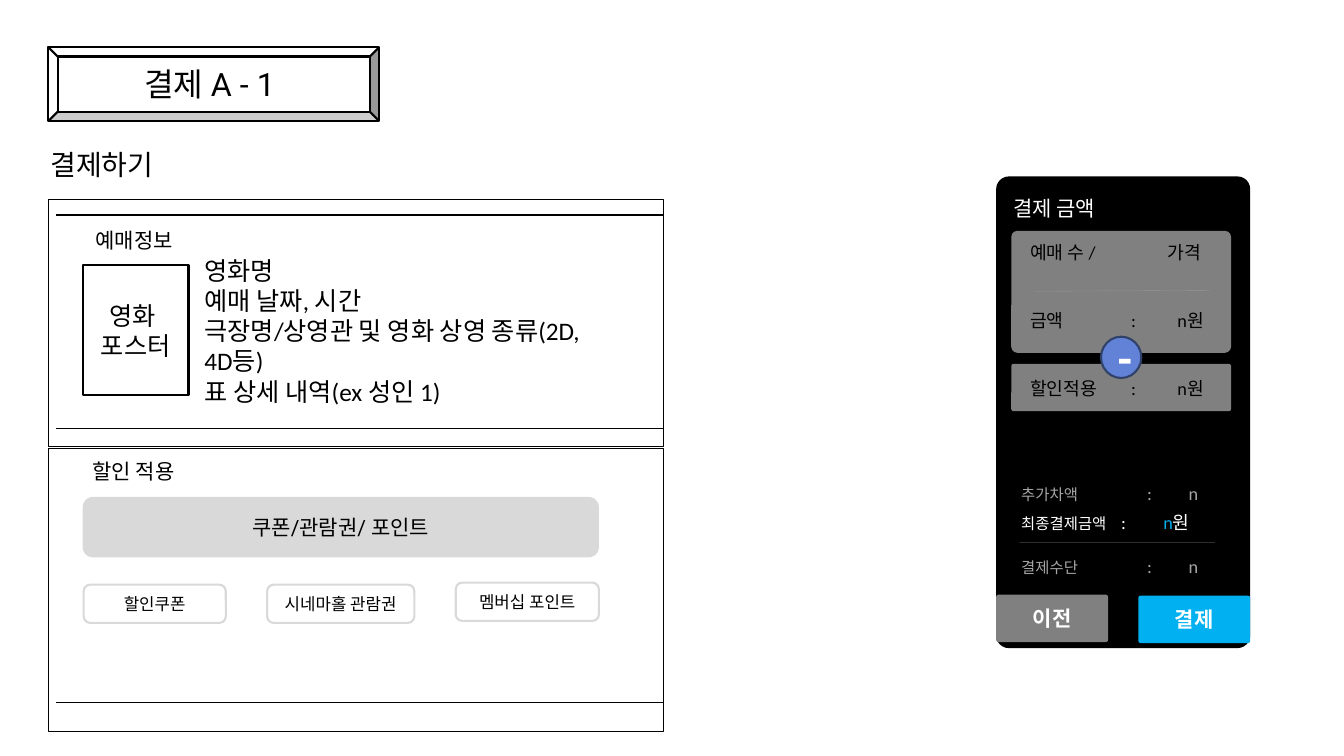
import pptx
import pptx.util
import pptx.dml.color
import pptx.enum.shapes
import pptx.enum.text
import pptx.oxml
import pptx.oxml.ns
from lxml import etree

Inches = pptx.util.Inches
Pt = pptx.util.Pt
SHAPE = pptx.enum.shapes.MSO_SHAPE
BLACK, WHITE, GRAY, SILVER, MUTED, BLUE = (
    "000000", "FFFFFF", "808080", "D9D9D9", "A6A6A6", "00B0F0")


def paint(target, color):
    target.rgb = pptx.dml.color.RGBColor.from_string(color)


def style_run(run, size, color, font, bold=False):
    run.font.size = Pt(size)
    run.font.name = font
    run.font.bold = bold
    paint(run.font.color, color)


def add_box(slide, kind, place, fill, line=None, width=1, corner=None):
    box = slide.shapes.add_shape(kind, *map(Inches, place))
    box.shadow.inherit = False
    box.fill.solid()
    paint(box.fill.fore_color, fill)
    if line:
        paint(box.line.color, line)
        box.line.width = Pt(width)
    else:
        box.line.fill.background()
    if corner is not None:
        box.adjustments[0] = corner
    return box


def add_caption(box, text, size, color=BLACK, bold=False):
    frame = box.text_frame
    frame.word_wrap = True
    frame.vertical_anchor = pptx.enum.text.MSO_ANCHOR.MIDDLE
    frame.text = text
    for paragraph in frame.paragraphs:
        paragraph.alignment = pptx.enum.text.PP_ALIGN.CENTER
        for run in paragraph.runs:
            style_run(run, size, color, "Roboto", bold)


def add_frame(slide, place):
    frame = slide.shapes.add_textbox(*map(Inches, place)).text_frame
    frame.word_wrap = True
    frame.auto_size = pptx.enum.text.MSO_AUTO_SIZE.SHAPE_TO_FIT_TEXT
    return frame


def add_label(slide, place, text, size, color=BLACK):
    frame = add_frame(slide, place)
    frame.text = text
    for paragraph in frame.paragraphs:
        for run in paragraph.runs:
            style_run(run, size, color, "Calibri")


def add_price_row(slide, place, parts, stops):
    paragraph = add_frame(slide, place).paragraphs[0]
    for text, size, color in parts:
        run = paragraph.add_run()
        run.text = text
        style_run(run, size, color, "Calibri")
    qn = pptx.oxml.ns.qn
    tabs = etree.SubElement(paragraph._p.get_or_add_pPr(), qn("a:tabLst"))
    for stop in stops:
        etree.SubElement(tabs, qn("a:tab"), pos=str(Inches(stop)), algn="l")


def add_rule(slide, start, end, color=BLACK, width=1.25, opacity=None):
    rule = slide.shapes.add_connector(
        pptx.enum.shapes.MSO_CONNECTOR.STRAIGHT, *map(Inches, start + end))
    paint(rule.line.color, color)
    rule.line.width = Pt(width)
    qn = pptx.oxml.ns.qn
    properties = rule._element.spPr
    if opacity is not None:
        shade = properties.find(".//" + qn("a:srgbClr"))
        etree.SubElement(shade, qn("a:alpha"), val=str(opacity * 1000))
    etree.SubElement(properties, qn("a:effectLst"))


def add_booking(slide):
    add_box(slide, SHAPE.RECTANGLE, (0.48, 1.98, 6.1, 2.45), WHITE, BLACK)
    poster = add_box(slide, SHAPE.RECTANGLE, (0.82, 2.63, 1.05, 1.29), WHITE, BLACK, 1.5)
    add_caption(poster, "영화 \n포스터", 18)
    add_label(slide, (0.85, 2.21, 1.05, 0.35), "예매정보", 15)
    for y in (2.13, 4.25):
        add_rule(slide, (0.56, y), (6.58, y))
    add_label(slide, (1.93, 2.48, 3.93, 1.62),
              "영화명\n예매 날짜, 시간\n극장명/상영관 및 영화 상영 종류(2D, 4D등)\n"
              "표 상세 내역(ex 성인 1)", 18)


def add_discounts(slide):
    add_box(slide, SHAPE.RECTANGLE, (0.48, 4.45, 6.1, 2.81), WHITE, BLACK)
    add_rule(slide, (0.56, 6.97), (6.58, 6.97))
    add_label(slide, (0.82, 4.5, 1.11, 0.35), "할인 적용", 15)
    banner = add_box(slide, SHAPE.ROUNDED_RECTANGLE, (0.82, 4.93, 5.12, 0.6),
                     SILVER, corner=0.17)
    add_caption(banner, "쿠폰/관람권/ 포인트", 15)
    for x, y, width, text in ((0.83, 5.8, 1.41, "할인쿠폰"),
                              (2.65, 5.8, 1.46, "시네마홀 관람권"),
                              (4.52, 5.78, 1.42, "멤버십 포인트")):
        option = add_box(slide, SHAPE.ROUNDED_RECTANGLE, (x, y, width, 0.38),
                         WHITE, SILVER, 1.5, 0.17)
        add_caption(option, text, 12)


def add_payment(slide):
    add_box(slide, SHAPE.ROUNDED_RECTANGLE, (9.88, 1.75, 2.52, 4.68), BLACK, corner=0.05)
    add_label(slide, (9.95, 1.89, 1.19, 0.35), "결제 금액", 15, WHITE)
    for y, height in ((2.29, 1.21), (3.61, 0.47)):
        add_box(slide, SHAPE.ROUNDED_RECTANGLE, (10.03, y, 2.18, height), GRAY, corner=0.05)
    for x, y, fill, text in ((9.88, 5.9, GRAY, "이전"), (11.29, 5.91, BLUE, "결제")):
        button = add_box(slide, SHAPE.ROUNDED_RECTANGLE, (x, y, 1.11, 0.47),
                         fill, corner=0.05)
        add_caption(button, text, 15, WHITE, True)
    add_rule(slide, (10.27, 2.89), (12, 2.88), SILVER, 0.25, 26)
    minus = add_box(slide, SHAPE.OVAL, (10.92, 3.34, 0.4, 0.41), "6182D6", "30416A", 1.5)
    add_caption(minus, "-", 30, WHITE, True)
    for y, text, stops in ((2.34, "예매 수 /\t가격", (1.36,)),
                           (3.02, "금액\t:\tn원", (1, 1.46)),
                           (3.69, "할인적용\t:\tn원", (1, 1.46))):
        add_price_row(slide, (10.12, y, 1.99, 0.32), [(text, 13, BLACK)], stops)
    for y, text in ((4.74, "추가차액"), (5.46, "결제수단")):
        add_price_row(slide, (10.03, y, 2.12, 0.32),
                      [(text, 11, MUTED), ("\t:\tn", 13, MUTED)], (1.25, 1.66))
    add_price_row(slide, (10.03, 5.02, 2.08, 0.32),
                  [("최종결제금액", 11, WHITE), ("\t:\t", 13, WHITE),
                   ("n", 13, BLUE), ("원", 13, WHITE)], (0.99, 1.41))
    add_rule(slide, (10.11, 5.38), (12.05, 5.38), SILVER, 0.25, 62)


def main():
    deck = pptx.Presentation()
    deck.slide_width, deck.slide_height = Inches(13.33), Inches(7.5)
    slide = deck.slides.add_slide(deck.slide_layouts[6])
    title = add_box(slide, SHAPE.BEVEL, (0.48, 0.47, 3.28, 0.73), WHITE, BLACK, 1.5, 0.125)
    add_caption(title, "결제 A - 1 ", 23)
    add_label(slide, (0.4, 1.41, 1.35, 0.44), "결제하기", 20)
    add_booking(slide)
    add_discounts(slide)
    add_payment(slide)
    deck.save("out.pptx")


if __name__ == "__main__":
    main()
